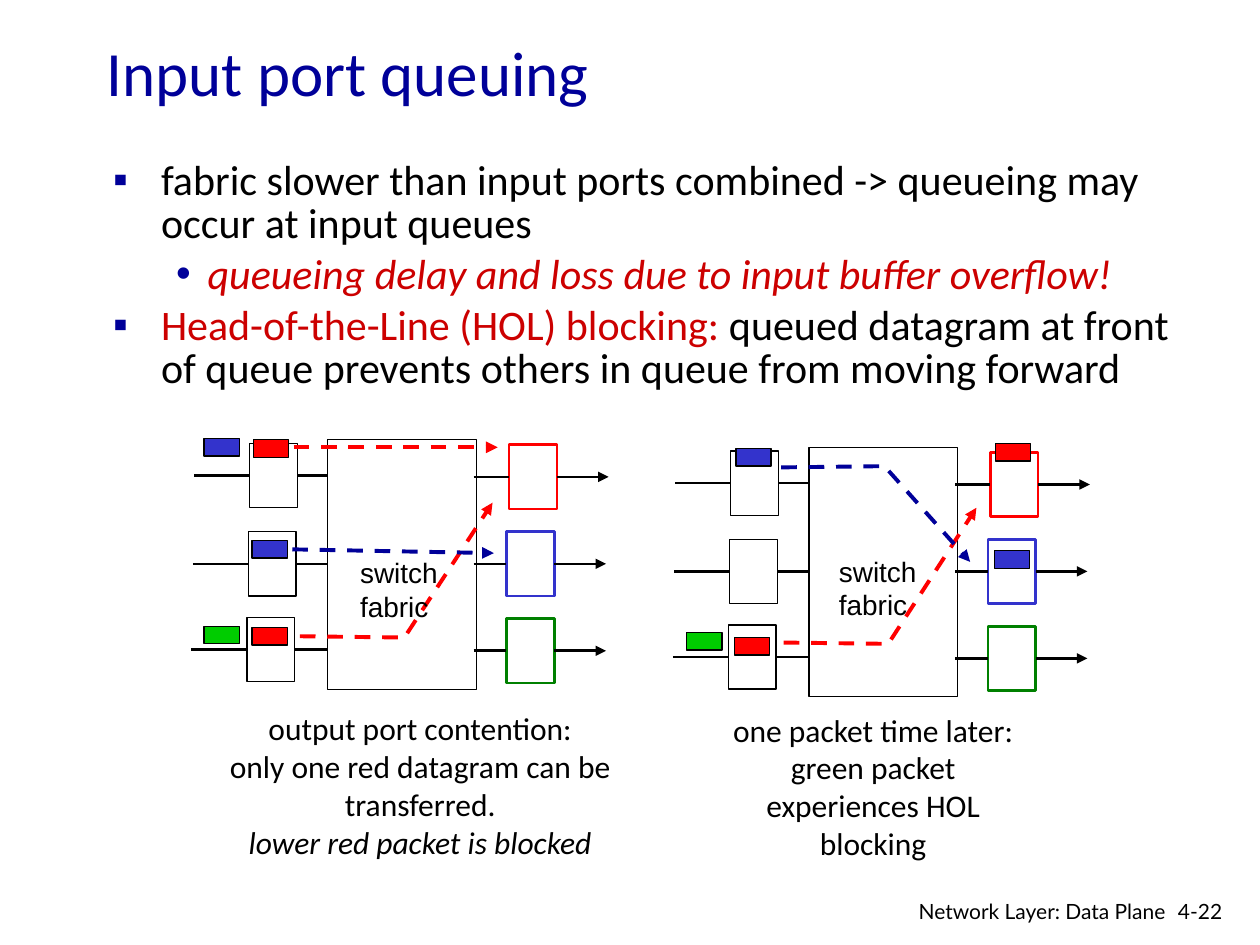
import pptx
import pptx.util
import pptx.dml.color
import pptx.enum.dml
import pptx.enum.shapes
import pptx.enum.text
import pptx.oxml
import pptx.oxml.ns

Pt = pptx.util.Pt
RGB = pptx.dml.color.RGBColor
ALIGN = pptx.enum.text.PP_ALIGN
BLACK = RGB(0x00, 0x00, 0x00)
WHITE = RGB(0xFF, 0xFF, 0xFF)
NAVY = RGB(0x00, 0x00, 0x99)
CRIMSON = RGB(0xCC, 0x00, 0x00)
RED = RGB(0xFF, 0x00, 0x00)
BLUE = RGB(0x33, 0x33, 0xCC)
GREEN = RGB(0x00, 0x80, 0x00)
LIME = RGB(0x00, 0xCC, 0x00)

# The slide is a grid of 100 columns by 75 rows of square cells
WIDTH, HEIGHT = pptx.util.Inches(10), pptx.util.Inches(7.5)
CELL = WIDTH // 100

PORT = (3.8, 5.1)
PACKET = (2.8, 1.4)
FABRIC = (11.8, 19.8)
INPUTS = [(-6.2, 0.3), (-6.3, 7.3), (-6.4, 14.1)]
OUTPUTS = [(14.4, 0.4, RED), (14.2, 7.3, BLUE), (14.2, 14.2, GREEN)]


def cells(*counts):
    return [round(n * CELL) for n in counts]


def tag(parent, name, **attrs):
    node = pptx.oxml.parse_xml(f"<a:{name} {pptx.oxml.ns.nsdecls('a')}/>")
    for key, value in attrs.items():
        node.set(key, value)
    parent.append(node)
    return node


def stroke(line, color, width, dash=False, arrow=False):
    line.color.rgb = color
    line.width = Pt(width)
    if dash:
        line.dash_style = pptx.enum.dml.MSO_LINE.DASH
    if arrow:
        tag(line._get_or_add_ln(), "tailEnd", type="triangle")


def block(slide, x, y, size, fill=WHITE, edge=BLACK, width=0.75):
    kind = pptx.enum.shapes.MSO_SHAPE.RECTANGLE
    shape = slide.shapes.add_shape(kind, *cells(x, y, *size))
    shape.shadow.inherit = False
    shape.fill.solid()
    shape.fill.fore_color.rgb = fill
    stroke(shape.line, edge, width)
    return shape


def wire(slide, start, end, color=BLACK, width=1.5, **look):
    kind = pptx.enum.shapes.MSO_CONNECTOR.STRAIGHT
    link = slide.shapes.add_connector(kind, *cells(*start, *end))
    stroke(link.line, color, width, **look)
    tag(link._element.spPr, "effectLst")
    return link


def route(slide, color, *points):
    """Dashed arrow that a datagram follows across the fabric."""
    if len(points) == 2:
        wire(slide, *points, color, 2.25, dash=True, arrow=True)
        return
    first, *rest = [cells(*point) for point in points]
    pen = slide.shapes.build_freeform(*first)
    pen.add_line_segments(rest, close=False)
    shape = pen.convert_to_shape()
    shape.shadow.inherit = False
    shape.fill.background()
    stroke(shape.line, color, 2.25, dash=True, arrow=True)


def frame(slide, x, y, w, h, wrap=True):
    text = slide.shapes.add_textbox(*cells(x, y, w, h)).text_frame
    text.word_wrap = wrap
    return text


def style(para, face, size, color=BLACK, align=ALIGN.LEFT, italic=None):
    para.alignment = align
    font = para.font
    font.name, font.size, font.italic = face, Pt(size), italic
    font.color.rgb = color


def note(slide, box, lines, face, size, color=BLACK, align=ALIGN.LEFT, wrap=True):
    text = frame(slide, *box, wrap)
    text.text = "\n".join(lines)
    for para in text.paragraphs:
        style(para, face, size, color, align)
    return text


def bullet(para, mark, left, hang, color=BLACK, italic=None):
    para.line_spacing = 0.85
    para.space_before = Pt(4.8)
    props = para._p.get_or_add_pPr()
    indent, back = cells(left, -hang)
    props.set("marL", str(indent))
    props.set("indent", str(back))
    tag(tag(props, "buClr"), "srgbClr", val=str(NAVY))
    tag(props, "buFont", typeface="Arial")
    tag(props, "buChar", char=mark)
    style(para, "Calibri", 24, color, italic=italic)


def points(slide):
    text = frame(slide, 8, 12.3, 88.6, 29)
    slow, loss, head = text.paragraphs[0], text.add_paragraph(), text.add_paragraph()
    slow.text = ("fabric slower than input ports combined -> "
                 "queueing may occur at input queues")
    bullet(slow, "▪", 3.8, 3.8)
    loss.text = "queueing delay and loss due to input buffer overflow!"
    loss.level = 1
    bullet(loss, "•", 7.5, 2.5, CRIMSON, True)
    bullet(head, "▪", 3.8, 3.8)
    term = head.add_run()
    term.text = "Head-of-the-Line (HOL) blocking:"
    term.font.color.rgb = CRIMSON
    head.add_run().text = (" queued datagram at front of queue "
                           "prevents others in queue from moving forward")


def switch(slide, x, y):
    """Fabric with its three input and three output ports."""
    block(slide, x, y, FABRIC)
    for dx, dy in INPUTS:
        left, mid = x + dx, y + dy + PORT[1] / 2
        port = block(slide, left, y + dy, PORT)
        wire(slide, (left - 4.4, mid), (left, mid)).end_connect(port, 1)
        wire(slide, (left + PORT[0], mid), (x, mid)).begin_connect(port, 3)
    for dx, dy, color in OUTPUTS:
        left, mid = x + dx, y + dy + PORT[1] / 2
        right = left + PORT[0]
        port = block(slide, left, y + dy, PORT, edge=color, width=1.5)
        wire(slide, (x + 11.6, mid), (left, mid)).end_connect(port, 1)
        wire(slide, (right, mid), (right + 4.1, mid), arrow=True).begin_connect(port, 3)


def packets(slide, *items):
    for x, y, color in items:
        block(slide, x, y, PACKET, color)


def label(slide, x, y):
    note(slide, (x, y, 8.2, 6.4), ["switch", "fabric"], "Arial", 16, wrap=False)


def before(slide):
    switch(slide, 26, 34.9)
    packets(slide, (20.1, 34.9, RED), (20, 42.9, BLUE), (20, 49.8, RED),
            (16.2, 34.8, BLUE), (16.2, 49.7, LIME))
    route(slide, RED, (23.3, 35.5), (39.5, 35.5))
    route(slide, RED, (23.8, 50.5), (32.1, 50.6), (39.1, 39.9))
    text = note(slide, (14.8, 55.8, 37.1, 13),
                ["output port contention:", "only one red datagram can be transferred."],
                "Calibri", 18, align=ALIGN.CENTER)
    last = text.paragraphs[-1]
    last.add_line_break()
    run = last.add_run()
    run.text = "lower red packet is blocked"
    run.font.italic = True
    label(slide, 27.6, 43.6)
    route(slide, NAVY, (23.2, 43.6), (39.2, 43.9))


def after(slide):
    switch(slide, 64.2, 35.5)
    note(slide, (57.1, 55.9, 24.4, 13),
         ["one packet time later: green packet experiences HOL blocking"],
         "Calibri", 18, align=ALIGN.CENTER)
    label(slide, 65.6, 43.5)
    packets(slide, (79, 35.2, RED), (58.4, 35.6, BLUE), (58.3, 50.6, RED),
            (54.5, 50.2, LIME), (78.9, 43.7, BLUE))
    route(slide, RED, (62.2, 51), (70.5, 51.1), (77.5, 40.3))
    route(slide, NAVY, (62, 37.1), (70.2, 37), (77, 44.6))


def main():
    deck = pptx.Presentation()
    deck.slide_width, deck.slide_height = WIDTH, HEIGHT
    slide = deck.slides.add_slide(deck.slide_layouts[6])
    # Title and bullets
    title = note(slide, (7.5, 3.2, 85, 5), ["Input port queuing"], "Calibri", 36, NAVY)
    title.vertical_anchor = pptx.enum.text.MSO_ANCHOR.MIDDLE
    points(slide)
    # The two moments of the switch
    before(slide)
    after(slide)
    # Footer
    note(slide, (92.5, 70.8, 6.1, 3), ["4-22"], "Lato", 12)
    note(slide, (69.7, 70.8, 23.8, 2.6), ["Network Layer: Data Plane"], "Lato", 12,
         align=ALIGN.RIGHT)
    deck.save("out.pptx")


if __name__ == "__main__":
    main()
